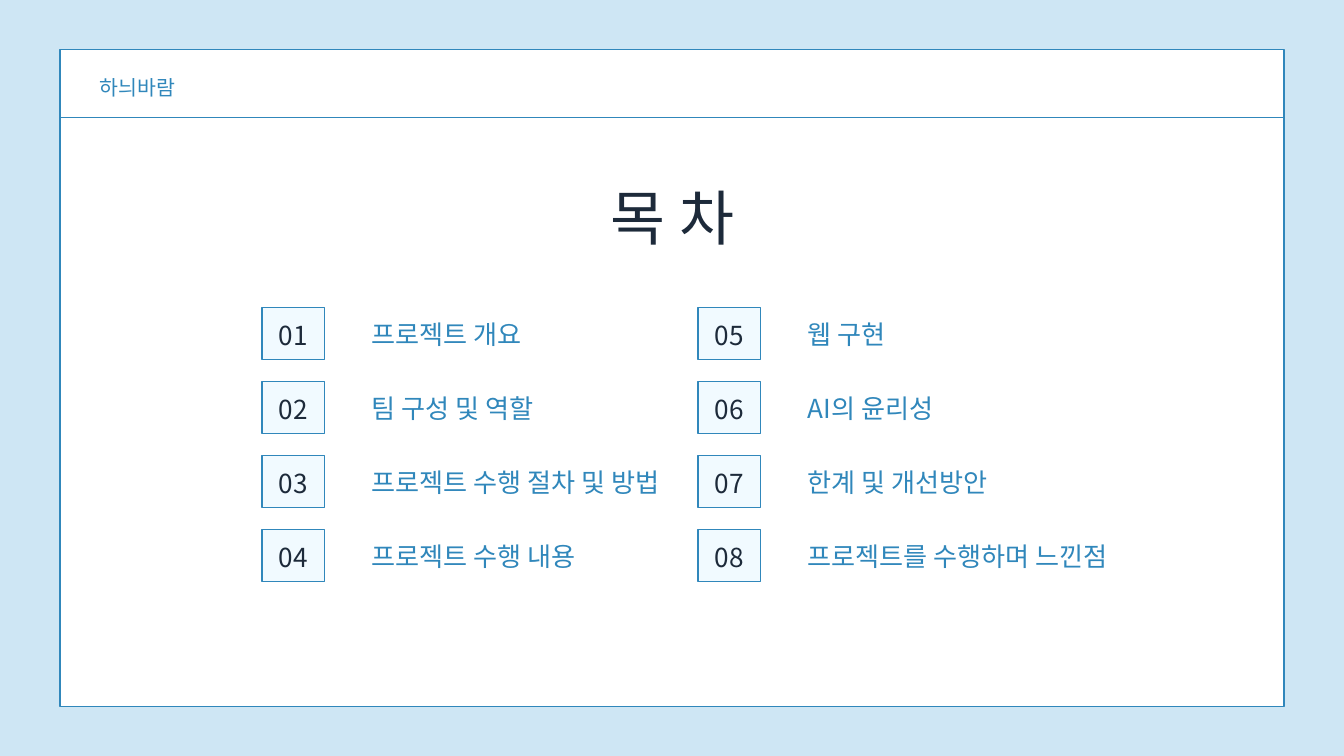
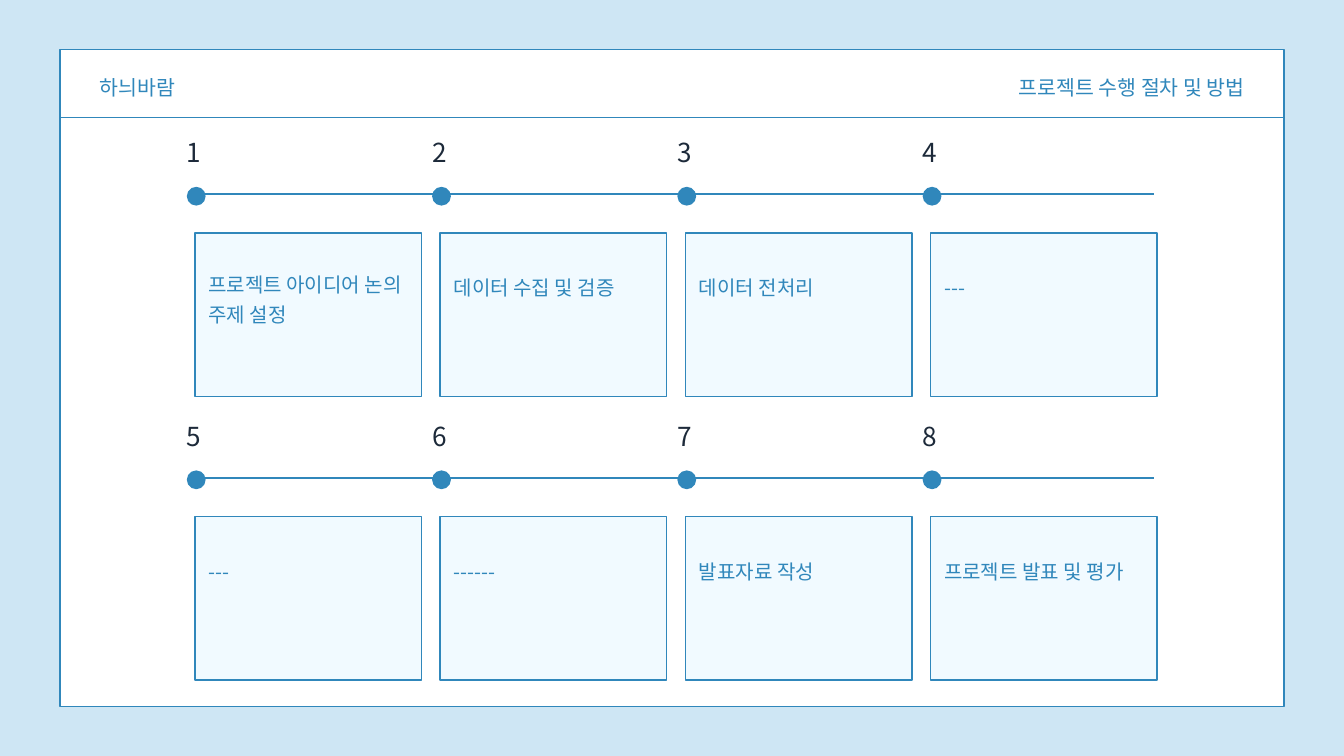
import pptx
import pptx.util
import pptx.dml.color
import pptx.enum.shapes
import pptx.enum.text
import pptx.oxml.ns
from lxml import etree

Inches, Pt = pptx.util.Inches, pptx.util.Pt
RGB = pptx.dml.color.RGBColor
Kind = pptx.enum.shapes.MSO_SHAPE
Align = pptx.enum.text.PP_ALIGN
qn = pptx.oxml.ns.qn

SKY = RGB(0xCE, 0xE6, 0xF4)
BLUE = RGB(0x30, 0x87, 0xBB)
PALE = RGB(0xF1, 0xFA, 0xFF)
WHITE = RGB(0xFF, 0xFF, 0xFF)
INK = RGB(0x1D, 0x2A, 0x3A)
FACE = "Noto Sans CJK KR"

# Text styles: size, line spacing (both in points), colour, alignment
HEAD = (64, 89.6, INK, Align.CENTER)
BRAND = (22, 30.8, BLUE, Align.LEFT)
TOPIC = (22, 30.8, BLUE, Align.RIGHT)
LABEL = (28, 33.6, BLUE, Align.LEFT)
INDEX = (28, 33.6, INK, Align.CENTER)
STEP = (28, 33.6, INK, Align.LEFT)
NOTE = (21.5, 31.9, BLUE, Align.LEFT)

FRAME = (0.89, 0.74, 18.22, 9.77)
TEAM = "하늬바람"
TOPICS = [
    ["프로젝트 개요", "팀 구성 및 역할", "프로젝트 수행 절차 및 방법", "프로젝트 수행 내용"],
    ["웹 구현", "AI의 윤리성", "한계 및 개선방안", "프로젝트를 수행하며 느낀점"],
]
STAGES = [
    ["프로젝트 아이디어 논의\n주제 설정", "데이터 수집 및 검증", "데이터 전처리", "---"],
    ["---", "------", "발표자료 작성", "프로젝트 발표 및 평가"],
]


def set_all(thing, values):
    for name, value in values.items():
        setattr(thing, name, value)


def fill_text(shape, text, style):
    size, space, color, align = style
    frame = shape.text_frame
    set_all(frame, {
        "margin_left": 0, "margin_right": 0, "margin_top": 0, "margin_bottom": 0,
        "word_wrap": True, "auto_size": pptx.enum.text.MSO_AUTO_SIZE.NONE,
        "vertical_anchor": pptx.enum.text.MSO_ANCHOR.TOP,
    })
    frame.text = text
    for para in frame.paragraphs:
        set_all(para, {"alignment": align, "line_spacing": Pt(space), "space_before": Pt(0)})
        for run in para.runs:
            set_all(run.font, {"size": Pt(size), "name": FACE, "bold": False})
            run.font.color.rgb = color
            east = etree.Element(qn("a:ea"), typeface=FACE)
            run.font._element.find(qn("a:latin")).addnext(east)


def add_text(slide, box, text, style):
    fill_text(slide.shapes.add_textbox(*map(Inches, box)), text, style)


def add_title(slide, box, text, style):
    """Format the title and lift it above the frame."""
    title = slide.shapes.title
    set_all(title, dict(zip(("left", "top", "width", "height"), map(Inches, box))))
    fill_text(title, text, style)
    title.element.getparent().append(title.element)


def add_form(slide, kind, box, fill, edge=1.5):
    form = slide.shapes.add_shape(kind, *map(Inches, box))
    form.shadow.inherit = False
    form.fill.solid()
    form.fill.fore_color.rgb = fill
    if edge:
        form.line.color.rgb = BLUE
        form.line.width = Pt(edge)
    else:
        form.line.fill.background()


def add_rule(slide, left, top, width, weight):
    ends = map(Inches, (left, top, left + width, top))
    rule = slide.shapes.add_connector(pptx.enum.shapes.MSO_CONNECTOR.STRAIGHT, *ends)
    rule.line.color.rgb = BLUE
    rule.line.width = Pt(weight)
    etree.SubElement(rule.element.spPr, qn("a:effectLst"))


def add_base(deck):
    """Add a slide with the shared background, frame, rule and team name."""
    slide = deck.slides.add_slide(deck.slide_layouts.get_by_name("Title Only"))
    slide.background.fill.solid()
    slide.background.fill.fore_color.rgb = SKY
    left, top, width, height = FRAME
    add_form(slide, Kind.RECTANGLE, FRAME, WHITE)
    add_rule(slide, left, top + 1.01, width, 1.5)
    add_text(slide, (left + 0.59, top + 0.32, 3.22, 0.42), TEAM, BRAND)
    return slide


def add_column(slide, left, top, first, topics):
    for row, topic in enumerate(topics):
        y = top + 1.1 * row
        add_form(slide, Kind.RECTANGLE, (left, y, 0.93, 0.77), PALE)
        add_text(slide, (left - 0.18, y + 0.17, 1.29, 0.45), f"{first + row:02}", INDEX)
        add_text(slide, (left + 1.63, y + 0.16, 4.7, 0.47), topic, LABEL)


def add_track(slide, left, top, first, stages):
    """Draw a row of numbered stages, each with a dot and a card."""
    add_rule(slide, left + 0.11, top + 0.86, 14.28, 2)
    for col, stage in enumerate(stages):
        x = left + 3.65 * col
        lift = 0.05 * stage.count("\n")
        add_form(slide, Kind.OVAL, (x, top + 0.75, 0.28, 0.28), BLUE, None)
        add_form(slide, Kind.RECTANGLE, (x + 0.12, top + 1.44, 3.37, 2.43), PALE)
        add_text(slide, (x, top, 2.97, 0.45), str(first + col), STEP)
        add_text(slide, (x + 0.32, top + 1.99 - lift, 3, 0.87), stage, NOTE)


def make_agenda(deck):
    slide = add_base(deck)
    add_title(slide, (6.94, 2.51, 6.13, 1.19), "목 차", HEAD)
    for col, topics in enumerate(TOPICS):
        add_column(slide, 3.9 + 6.49 * col, 4.58, 1 + 4 * col, topics)


def make_process(deck):
    slide = add_base(deck)
    add_title(slide, (14.41, 1.06, 4.11, 0.42), TOPICS[0][2], TOPIC)
    for row, stages in enumerate(STAGES):
        add_track(slide, 2.78, 2.03 + 4.22 * row, 1 + 4 * row, stages)


def main():
    deck = pptx.Presentation()
    set_all(deck, {"slide_width": Inches(20), "slide_height": Inches(11.25)})
    make_agenda(deck)
    make_process(deck)
    deck.save("out.pptx")


if __name__ == "__main__":
    main()
